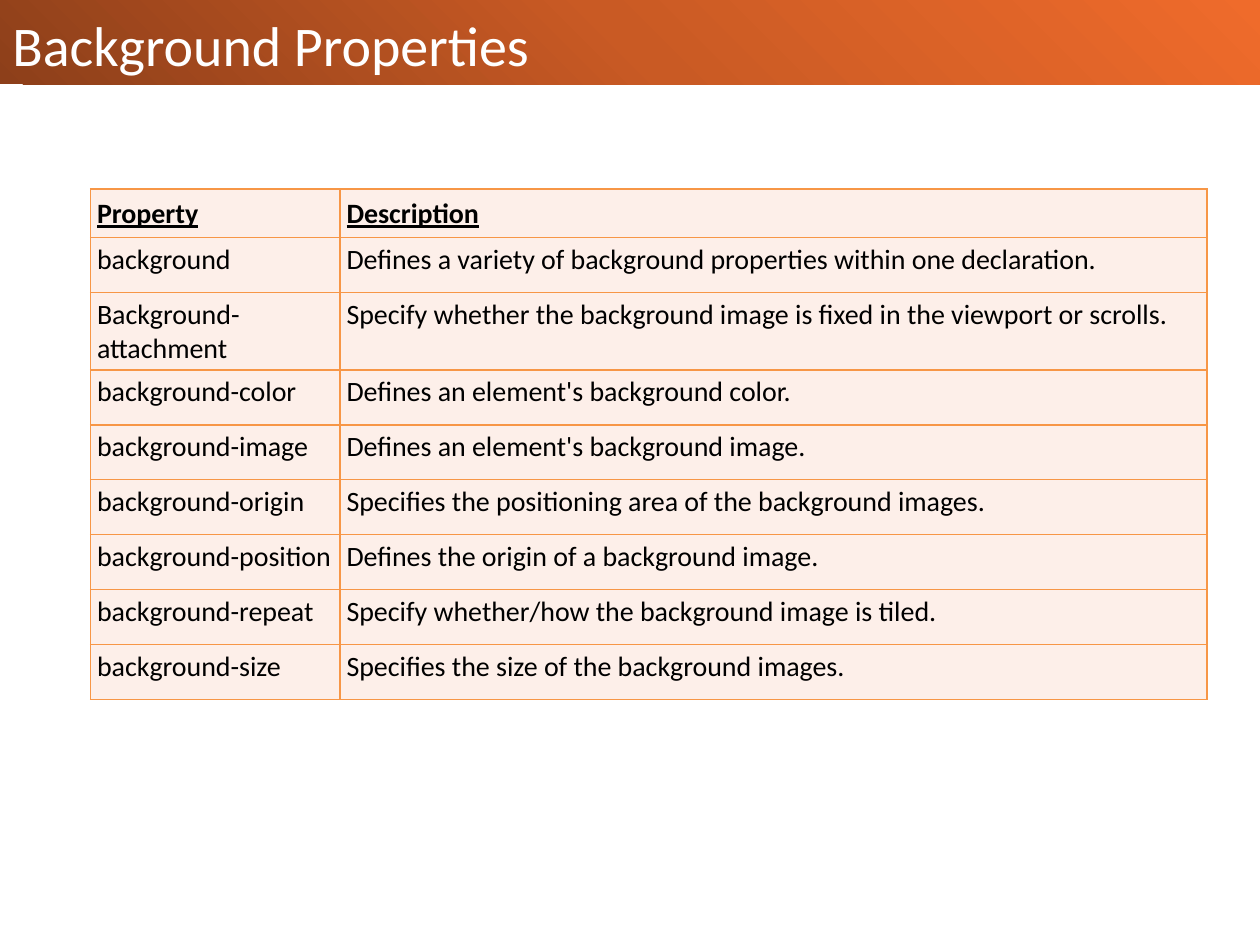
from copy import deepcopy

from lxml.etree import SubElement
from pptx import Presentation
from pptx.dml.color import RGBColor
from pptx.enum.shapes import MSO_SHAPE as Preset
from pptx.enum.text import MSO_ANCHOR as Anchor
from pptx.oxml.ns import qn
from pptx.util import Inches, Pt

COLORS = {
    "dark": "8D3F1A",
    "middle": "C95A24",
    "bright": "EF6B2B",
    "title": "FFFFFF",
    "text": "000000",
    "cell": "FDEFE9",
    "border": "F79646",
}

PROPERTIES = [
    ("Property", "Description"),
    ("background", "Defines a variety of background properties within one declaration."),
    ("Background-attachment", "Specify whether the background image is fixed in the viewport or scrolls."),
    ("background-color", "Defines an element's background color."),
    ("background-image", "Defines an element's background image."),
    ("background-origin", "Specifies the positioning area of the background images."),
    ("background-position", "Defines the origin of a background image."),
    ("background-repeat", "Specify whether/how the background image is tiled."),
    ("background-size", "Specifies the size of the background images."),
]


def color(name):
    return RGBColor.from_string(COLORS[name])


def write(frame, text, size=16, fill="text", font="Calibri", bold=False, underline=False):
    run = frame.paragraphs[0].add_run()
    run.text = text
    run.font.size = Pt(size)
    run.font.name = font
    run.font.bold = bold
    run.font.underline = underline
    run.font.color.rgb = color(fill)


class SlideBuilder:
    columns, rows = 100, 75

    def __init__(self, presentation):
        self.column = presentation.slide_width / self.columns
        self.row = presentation.slide_height / self.rows
        self.slide = presentation.slides.add_slide(presentation.slide_layouts[6])

    def box(self, left, top, width, height):
        return [
            round(left * self.column),
            round(top * self.row),
            round(width * self.column),
            round(height * self.row),
        ]

    def banner(self, height, names):
        left = (self.columns - height) / 2
        top = (height - self.columns) / 2
        shape = self.slide.shapes.add_shape(
            Preset.RECTANGLE, *self.box(left, top, height, self.columns)
        )
        shape.rotation = 270
        shape.shadow.inherit = False
        shape.line.fill.background()
        shape.fill.gradient()
        shape.fill.gradient_angle = 315
        stop_list = shape.fill._fill._gradFill.find(qn("a:gsLst"))
        stop_list.insert(1, deepcopy(stop_list[0]))
        for index, (stop, name) in enumerate(zip(shape.fill.gradient_stops, names)):
            stop.position = index / (len(names) - 1)
            stop.color.rgb = color(name)

    def title(self, text, width, height):
        shape = self.slide.shapes.add_textbox(*self.box(0, 0, width, height))
        frame = shape.text_frame
        frame.word_wrap = True
        frame.vertical_anchor = Anchor.BOTTOM
        write(frame, text, size=32, fill="title")

    def table(self, records, left, top, widths, heights):
        table = self.slide.shapes.add_table(
            len(records), len(widths), *self.box(left, top, sum(widths), sum(heights))
        ).table
        table.first_row = table.horz_banding = False
        for column, width in zip(table.columns, widths):
            column.width = round(width * self.column)
        for index, (row, height, record) in enumerate(zip(table.rows, heights, records)):
            row.height = round(height * self.row)
            for cell, text in zip(row.cells, record):
                self.cell(cell, text, header=index == 0)

    def cell(self, cell, text, header):
        cell.margin_left = cell.margin_right = Inches(0.05)
        cell.margin_top = cell.margin_bottom = Inches(0.06 if header else 0.04)
        write(cell.text_frame, text, bold=header, underline=header)
        properties = cell._tc.get_or_add_tcPr()
        for side in ("a:lnL", "a:lnR", "a:lnT", "a:lnB"):
            line = SubElement(properties, qn(side), w=str(Pt(1)))
            SubElement(SubElement(line, qn("a:solidFill")), qn("a:srgbClr"), val=COLORS["border"])
        cell.fill.solid()
        cell.fill.fore_color.rgb = color("cell")


def main():
    presentation = Presentation()
    presentation.slide_width = Inches(10)
    presentation.slide_height = Inches(7.5)
    builder = SlideBuilder(presentation)
    builder.banner(6.67, ["dark", "middle", "bright"])
    builder.title("Background Properties", 94.2, 6.67)
    heights = [3, 4.36, 4.6] + [4.36] * (len(PROPERTIES) - 3)
    builder.table(PROPERTIES, 7.2, 15, [19.8, 68.8], heights)
    presentation.save("out.pptx")


if __name__ == "__main__":
    main()
